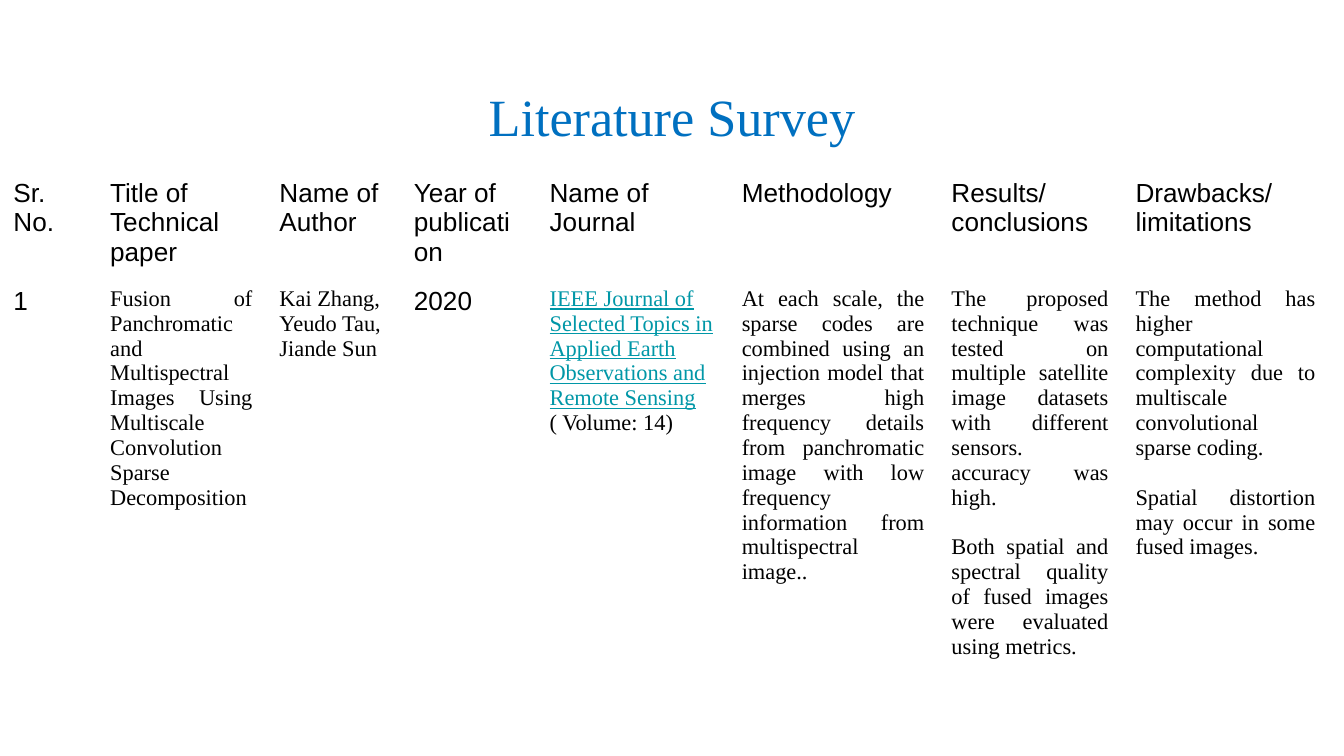
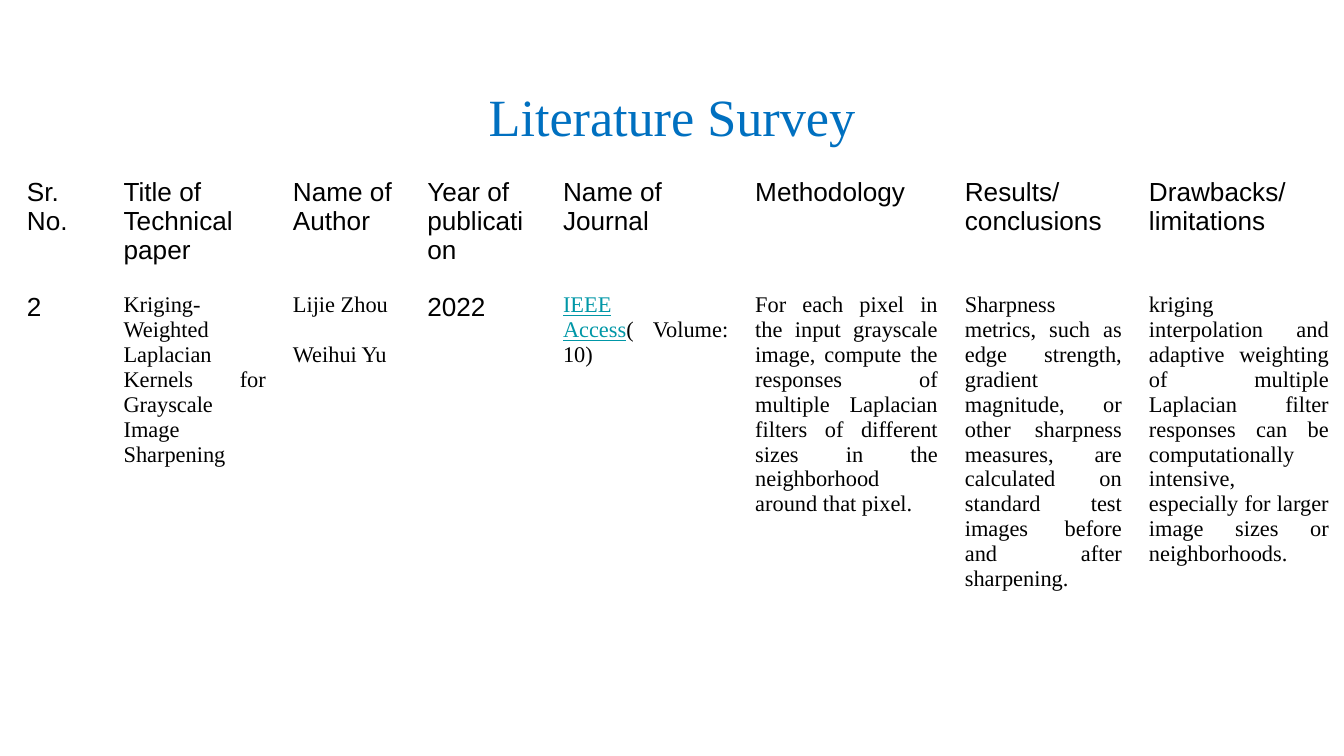
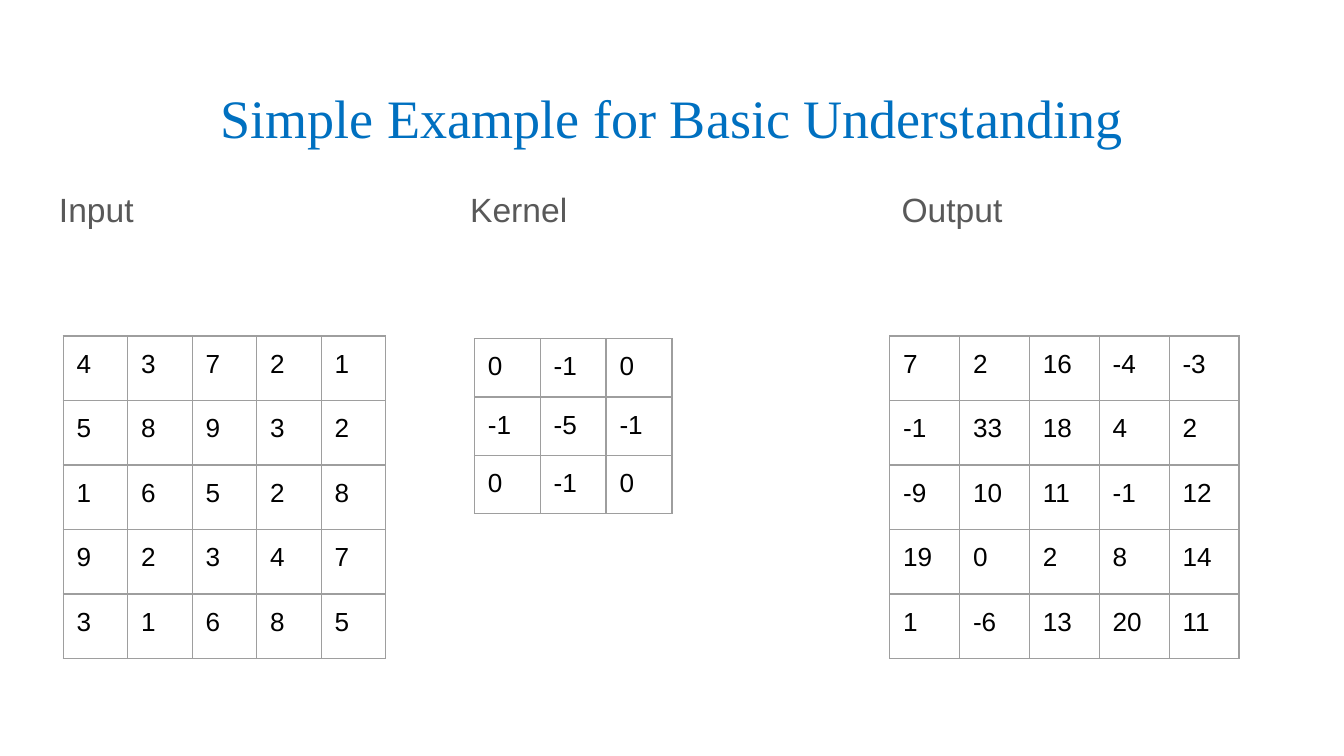
from dataclasses import dataclass

from lxml import etree
from pptx import Presentation
from pptx.dml.color import RGBColor
from pptx.enum.text import MSO_ANCHOR, PP_ALIGN
from pptx.oxml.ns import qn
from pptx.util import Inches, Pt

LEFT, CENTER, JUSTIFY = PP_ALIGN.LEFT, PP_ALIGN.CENTER, PP_ALIGN.JUSTIFY
TOP = MSO_ANCHOR.TOP
BLANK = 6
NO_STYLE = "{2D5ABB26-0587-4C30-8999-92F81FD0307C}"
WIDTH, HEIGHT = Inches(10), Inches(5.625)
UNIT = WIDTH / 100


@dataclass(frozen=True)
class Theme:
    """Colours, fonts and type sizes shared by the slides."""
    title: str = "0070C0"
    ink: str = "000000"
    muted: str = "595959"
    link: str = "0097A7"
    border: str = "9E9E9E"
    sans: str = "Arial"
    serif: str = "Times New Roman"
    title_size: int = 28
    wide_title_size: int = 29
    label_size: int = 18
    head_size: int = 14
    body_size: int = 12
    block_gap: float = 13.3
    border_width: float = 0.75


T = Theme()
TITLE_BOX = (3.4, 4.9, 93.2, 6.3)
BODY_BOX = (3.4, 12.6, 93.2, 37.4)
INSET = 1
TITLE_INSET = 1.4
SURVEY_COLS = (7.2, 12.6, 10, 10.1, 14.3, 15.6, 13.7, 15.4)
SURVEY_HEAD = (
    "Sr.\nNo.", "Title of Technical paper", "Name of Author", "Year of publication",
    "Name of Journal", "Methodology", "Results/\nconclusions", "Drawbacks/\nlimitations",
)
SHORT_COLS = (0, 3)
JOURNAL_COL = 4

SURVEYS = (
    {
        "origin": (0, 12.8),
        "rows": (7.8, 32.4, 3.2),
        "journal_align": LEFT,
        "journal_link": "IEEE Journal of Selected Topics in Applied Earth "
                        "Observations and Remote Sensing",
        "entry": (
            "1",
            "Fusion of Panchromatic and Multispectral Images Using Multiscale "
            "Convolution Sparse Decomposition",
            "Kai Zhang,\nYeudo Tau,\nJiande Sun",
            "2020",
            " ( Volume: 14)",
            "At each scale, the sparse codes are combined using an injection model "
            "that merges high frequency details from panchromatic image with low "
            "frequency information from multispectral image..",
            "The proposed technique was tested on multiple satellite image datasets "
            "with different sensors.\naccuracy was high.\n\nBoth spatial and spectral "
            "quality of fused images were evaluated using metrics.",
            "The method has higher computational complexity due to multiscale "
            "convolutional sparse coding.\n\nSpatial distortion may occur in some "
            "fused images.",
        ),
    },
    {
        "origin": (1, 12.7),
        "rows": (8.6, 26.4, 5.6),
        "journal_align": JUSTIFY,
        "journal_link": "IEEE Access",
        "entry": (
            "2",
            "Kriging-Weighted Laplacian Kernels for Grayscale Image Sharpening",
            "Lijie Zhou\n\nWeihui Yu",
            "2022",
            "( Volume: 10)",
            "For each pixel in the input grayscale image, compute the responses of "
            "multiple Laplacian filters of different sizes in the neighborhood around "
            "that pixel.",
            "Sharpness metrics, such as edge strength, gradient magnitude, or other "
            "sharpness measures, are calculated on standard test images before and "
            "after sharpening.",
            "kriging interpolation and adaptive weighting of multiple Laplacian filter "
            "responses can be computationally intensive, especially for larger image "
            "sizes or neighborhoods.",
        ),
    },
)

MATRIX_LABELS = "Input\tKernel\tOutput"
LABEL_TABS = (30.6, 62.7)
MATRICES = (
    ((4.7, 25), 4.8, 4.8, (
        (4, 3, 7, 2, 1),
        (5, 8, 9, 3, 2),
        (1, 6, 5, 2, 8),
        (9, 2, 3, 4, 7),
        (3, 1, 6, 8, 5),
    )),
    ((35.3, 25.2), 4.9, 3.1, (
        (0, -1, 0),
        (-1, -5, -1),
        (0, -1, 0),
    )),
    ((66.2, 25), 5.2, 4.8, (
        (7, 2, 16, -4, -3),
        (-1, 33, 18, 4, 2),
        (-9, 10, 11, -1, 12),
        (19, 0, 2, 8, 14),
        (1, -6, 13, 20, 11),
    )),
)


def grid(n):
    """Turn grid units into a length."""
    return round(n * UNIT)


def add_run(p, text, size, font, color, underline=None):
    """Add one formatted run to a paragraph."""
    r = p.add_run()
    r.text = text
    r.font.size, r.font.name, r.font.underline = Pt(size), font, underline
    r.font.color.rgb = RGBColor.from_string(color)


def write(tf, text, size=T.head_size, font=T.sans, color=T.ink, align=LEFT,
          link="", spacing=None, tabs=()):
    """Write lines as paragraphs, with a gap before each block after the first."""
    p = tf.paragraphs[0]
    for b, block in enumerate(text.split("\n\n")):
        for i, line in enumerate(block.split("\n")):
            if b or i:
                p = tf.add_paragraph()
            if tabs:
                tab_list = etree.SubElement(p._p.get_or_add_pPr(), qn("a:tabLst"))
                for tab in tabs:
                    etree.SubElement(tab_list, qn("a:tab"), pos=str(grid(tab)), algn="l")
            p.alignment = align
            if spacing:
                p.line_spacing = spacing
            if b and not i:
                p.space_before = Pt(T.block_gap)
            if link and not (b or i):
                add_run(p, link, size, font, T.link, underline=True)
            add_run(p, line, size, font, color)


def add_text(slide, box, text, top_inset=INSET, **fmt):
    """Place a wrapped text box on the grid."""
    tf = slide.shapes.add_textbox(*map(grid, box)).text_frame
    tf.word_wrap, tf.vertical_anchor = True, TOP
    tf.margin_left = tf.margin_right = tf.margin_bottom = grid(INSET)
    tf.margin_top = grid(top_inset)
    write(tf, text, **fmt)


def add_title(slide, text, size=T.title_size):
    """Place the slide title."""
    add_text(slide, TITLE_BOX, text, top_inset=TITLE_INSET, size=size, font=T.serif,
             color=T.title, align=CENTER)


def add_plain_table(slide, origin, cols, rows):
    """Add an unstyled table with the given column widths and row heights."""
    box = (*origin, sum(cols), sum(rows))
    table = slide.shapes.add_table(len(rows), len(cols), *map(grid, box)).table
    table.first_row = table.horz_banding = False
    table._tbl.tblPr.find(qn("a:tableStyleId")).text = NO_STYLE
    for column, width in zip(table.columns, cols):
        column.width = grid(width)
    for row, height in zip(table.rows, rows):
        row.height = grid(height)
    for cell in table.iter_cells():
        cell.fill.background()
    return table


def add_borders(cell):
    """Draw a thin line on the four sides of a cell."""
    tcPr = cell._tc.get_or_add_tcPr()
    for i, side in enumerate(("lnL", "lnR", "lnT", "lnB")):
        ln = etree.Element(qn(f"a:{side}"), w=str(Pt(T.border_width)))
        fill = etree.SubElement(ln, qn("a:solidFill"))
        etree.SubElement(fill, qn("a:srgbClr"), val=T.border)
        tcPr.insert(i, ln)


def add_survey_table(slide, survey):
    """Add the survey table with its headings and one paper."""
    table = add_plain_table(slide, survey["origin"], SURVEY_COLS, survey["rows"])
    for c, (head, text) in enumerate(zip(SURVEY_HEAD, survey["entry"])):
        write(table.cell(0, c).text_frame, head)
        fmt = {}
        if c not in SHORT_COLS:
            fmt = {"size": T.body_size, "font": T.serif, "align": JUSTIFY}
        if c == JOURNAL_COL:
            fmt.update(link=survey["journal_link"], align=survey["journal_align"])
        write(table.cell(1, c).text_frame, text, **fmt)


def add_matrix(slide, origin, col, row, values):
    """Add a bordered table of numbers with equal cells."""
    table = add_plain_table(slide, origin, [col] * len(values[0]), [row] * len(values))
    for r, numbers in enumerate(values):
        for c, number in enumerate(numbers):
            cell = table.cell(r, c)
            cell.margin_top = cell.margin_bottom = grid(INSET)
            add_borders(cell)
            write(cell.text_frame, str(number))


def survey_slide(prs, survey):
    """Build a literature survey slide."""
    slide = prs.slides.add_slide(prs.slide_layouts[BLANK])
    add_title(slide, "Literature Survey")
    add_survey_table(slide, survey)


def example_slide(prs):
    """Build the slide with input, kernel and output matrices."""
    slide = prs.slides.add_slide(prs.slide_layouts[BLANK])
    add_title(slide, "Simple Example for Basic Understanding", size=T.wide_title_size)
    add_text(slide, BODY_BOX, MATRIX_LABELS, size=T.label_size, color=T.muted,
             spacing=1.15, tabs=LABEL_TABS)
    for matrix in MATRICES:
        add_matrix(slide, *matrix)


def main():
    """Build and save the presentation."""
    prs = Presentation()
    prs.slide_width, prs.slide_height = WIDTH, HEIGHT
    for survey in SURVEYS:
        survey_slide(prs, survey)
    example_slide(prs)
    prs.save("out.pptx")


if __name__ == "__main__":
    main()
